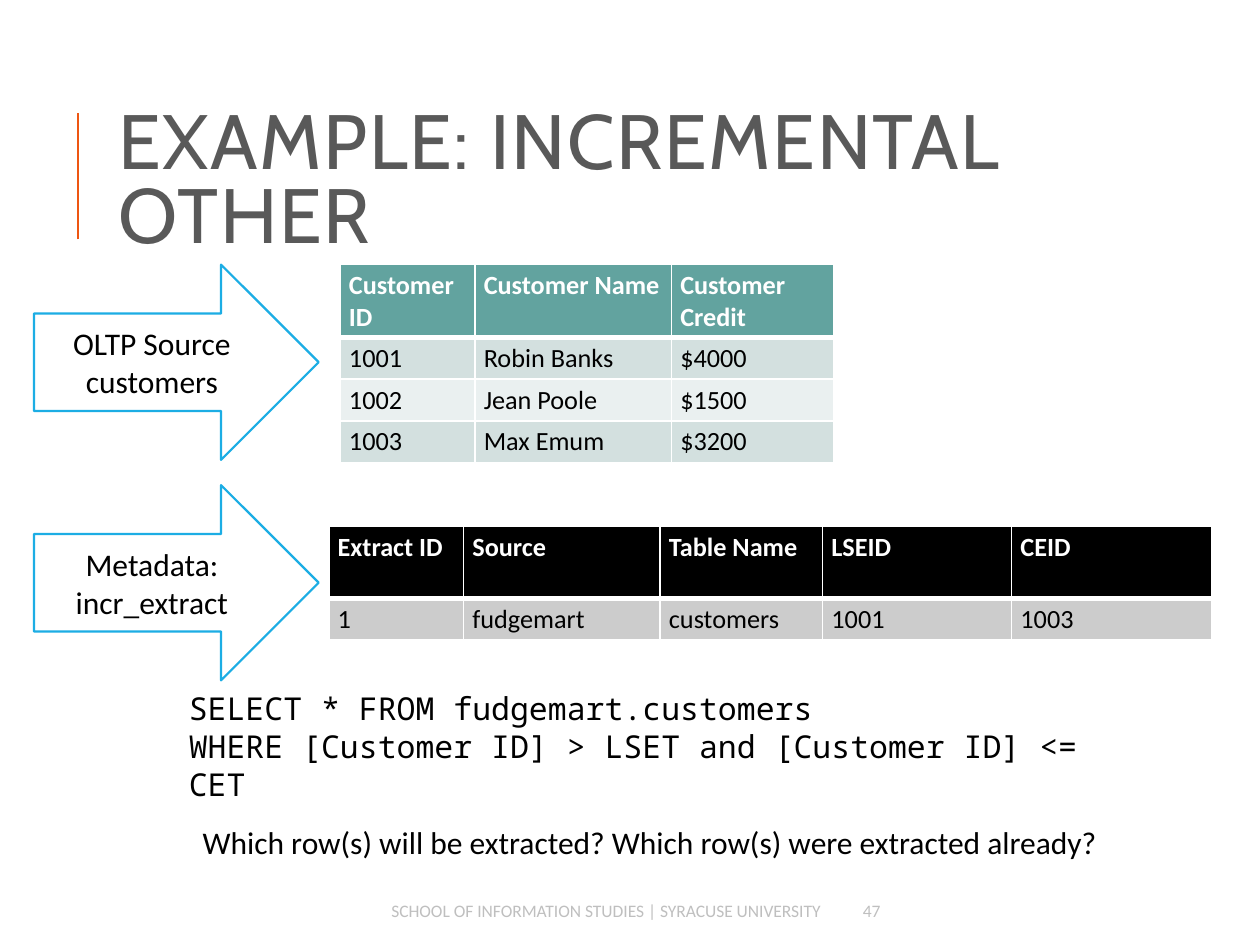
from lxml.etree import SubElement as Sub
from pptx import Presentation
from pptx.dml.color import RGBColor as Rgb
from pptx.enum.shapes import MSO_CONNECTOR as Conn, MSO_SHAPE as Kind
from pptx.enum.text import MSO_ANCHOR as Anchor, PP_ALIGN as Align
from pptx.oxml.ns import qn
from pptx.util import Inches, Pt

# Grid of 100 columns by 75 rows, each a tenth of an inch
COLS, ROWS, UNIT = 100, 75, 0.1

HUES = {
    "white": "FFFFFF", "black": "000000", "title": "595959", "foot": "BFBFBF",
    "bar": "EE5612", "arrow": "1CADE4", "teal": "62A39F", "mist": "D3E0DF",
    "pale": "EAF0F0", "gray": "CCCCCC",
}
BODY = {"name": "Calibri", "size": Pt(18), "color": "black"}
FOOT = BODY | {"size": Pt(10), "color": "foot"}
CODE = BODY | {"name": "Noto Sans Mono"}
TITLE = {"name": "Cabin", "size": Pt(44), "color": "title"}
CELL = BODY | {"size": Pt(15), "bold": False}
HEAD = CELL | {"color": "white", "bold": True}

WIDTHS = [10.7, 15.6, 12.9, 15, 15.9]
HIGH, LOW = 5.7, 3.3
BUYERS = [
    ["Customer ID", "Customer Name", "Customer\vCredit"],
    ["1001", "Robin Banks", "$4000"],
    ["1002", "Jean Poole", "$1500"],
    ["1003", "Max Emum", "$3200"],
]
META = [
    ["Extract ID", "Source", "Table Name", "LSEID", "CEID"],
    ["1", "fudgemart", "customers", "1001", "1003"],
]


def grid(*units):
    return [Inches(u * UNIT) for u in units]


def hue(name):
    return Rgb.from_string(HUES[name])


def style(font, form):
    for key, value in form.items():
        if key == "color":
            font.color.rgb = hue(value)
        else:
            setattr(font, key, value)


def write(frame, text, form, align=Align.LEFT):
    frame.text = text
    for para in frame.paragraphs:
        para.alignment = align
        for run in para.runs:
            style(run.font, form)


def label(slide, box, text, form, align=Align.LEFT, anchor=Anchor.TOP, wrap=True):
    frame = slide.shapes.add_textbox(*grid(*box)).text_frame
    frame.word_wrap = wrap
    frame.vertical_anchor = anchor
    write(frame, text, form, align)
    return frame


def title(slide, text):
    frame = label(slide, (8.4, 6.4, 85.2, 16.4), text, TITLE, anchor=Anchor.MIDDLE)
    para = frame.paragraphs[0]
    para.line_spacing = 0.8
    para.runs[0].font._element.set("spc", "100")


def bar(slide, x, top, end):
    line = slide.shapes.add_connector(Conn.STRAIGHT, *grid(x, end, x, top))
    line.line.color.rgb = hue("bar")
    line.line.width = Pt(1.5)
    Sub(line._element.spPr, qn("a:effectLst"))


def arrow(slide, top, text):
    shape = slide.shapes.add_shape(Kind.RIGHT_ARROW, *grid(2.7, top, 22.6, 15.5))
    shape.shadow.inherit = False
    shape.fill.solid()
    shape.fill.fore_color.rgb = hue("white")
    shape.line.color.rgb = hue("arrow")
    shape.line.width = Pt(1.25)
    shape.text_frame.vertical_anchor = Anchor.MIDDLE
    write(shape.text_frame, text, BODY, Align.CENTER)


def edge(cell, sides):
    # Border lines must come before the fill
    props = cell._tc.get_or_add_tcPr()
    for side, width in sides.items():
        line = Sub(props, qn("a:ln" + side), w=str(Pt(width)))
        fill = Sub(line, qn("a:solidFill"))
        Sub(fill, qn("a:srgbClr"), val=HUES["white"])


def table(slide, x, y, data, top, bands):
    wide = WIDTHS[:len(data[0])]
    tall = [HIGH] + [LOW] * (len(data) - 1)
    box = grid(x, y, sum(wide), sum(tall))
    tab = slide.shapes.add_table(len(tall), len(wide), *box).table
    tab.horz_banding = False
    for col, size in zip(tab.columns, grid(*wide)):
        col.width = size
    for r, (row, size) in enumerate(zip(tab.rows, grid(*tall))):
        row.height = size
        shade = bands[(r - 1) % len(bands)] if r else top
        sides = {"L": 1, "R": 1, "B": 1} if r else {"L": 1, "R": 1, "T": 1, "B": 3}
        for cell, text in zip(row.cells, data[r]):
            edge(cell, sides)
            cell.fill.solid()
            cell.fill.fore_color.rgb = hue(shade)
            cell.margin_left = cell.margin_right = Inches(0.07)
            cell.margin_top = cell.margin_bottom = Inches(0.04)
            write(cell.text_frame, text, CELL if r else HEAD)


def main():
    deck = Presentation()
    deck.slide_width, deck.slide_height = grid(COLS, ROWS)
    slide = deck.slides.add_slide(deck.slide_layouts[6])

    # Title and footer
    bar(slide, 6.2, 9, 19)
    title(slide, "EXAMPLE: INCREMENTAL OTHER")
    label(slide, (18.9, 70.8, 47.2, 3),
          "SCHOOL OF INFORMATION STUDIES | SYRACUSE UNIVERSITY",
          FOOT, Align.RIGHT, Anchor.MIDDLE)
    label(slide, (67.5, 70.8, 9.1, 3), "47", FOOT, anchor=Anchor.MIDDLE)

    # Source rows and extract metadata
    table(slide, 27, 21, BUYERS, "teal", ["mist", "pale"])
    arrow(slide, 21, "OLTP Source\ncustomers")
    table(slide, 26.1, 41.8, META, "black", ["gray"])
    arrow(slide, 38.5, "Metadata:\nincr_extract")

    # Query and question
    label(slide, (14, 54.2, 72.7, 7.1),
          "SELECT * FROM fudgemart.customers \v"
          "WHERE [Customer ID] > LSET and [Customer ID] <= CET", CODE)
    label(slide, (15.1, 64.8, 73, 4),
          "Which row(s) will be extracted? Which row(s) were extracted already?",
          BODY, wrap=False)

    deck.save("out.pptx")


if __name__ == "__main__":
    main()
